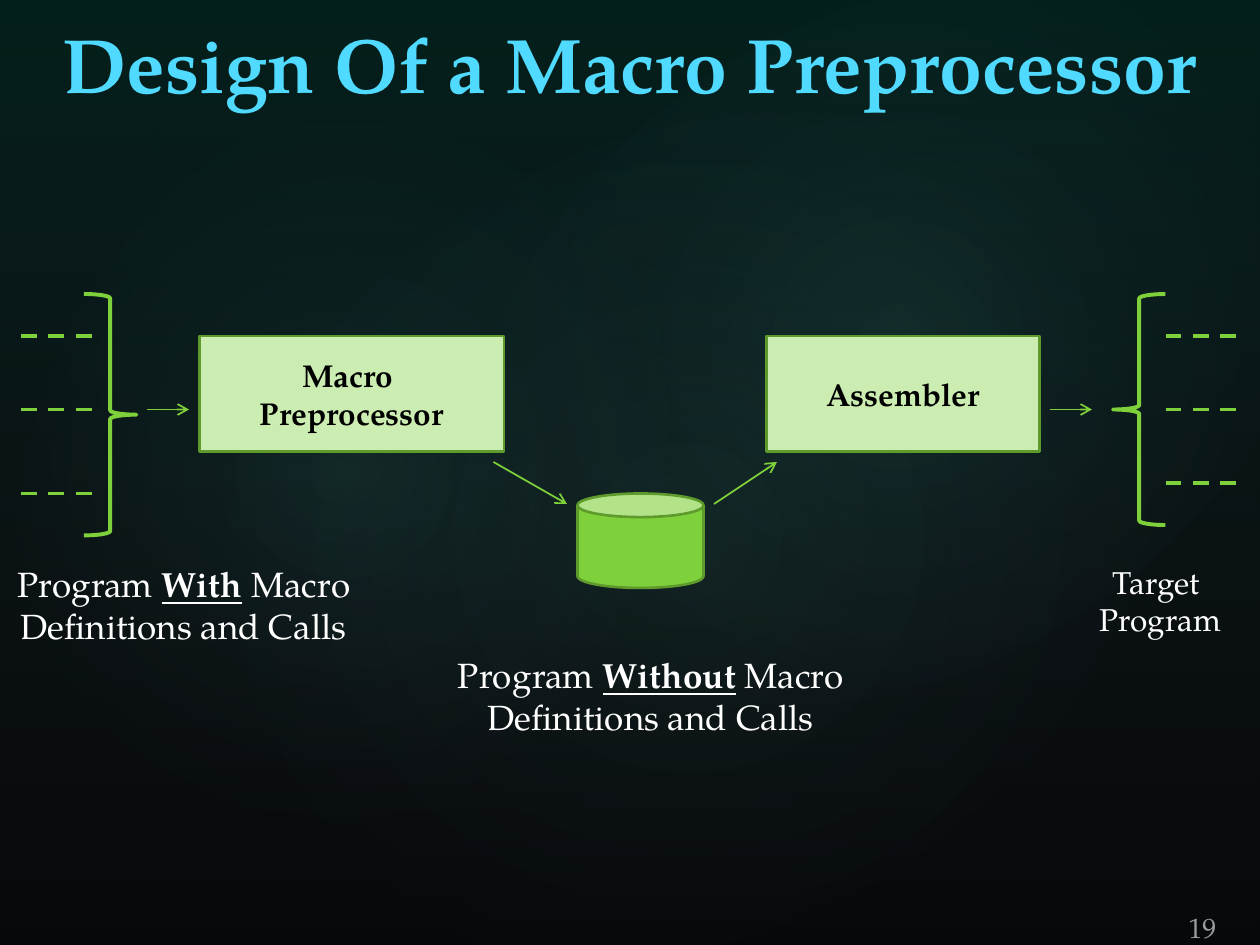
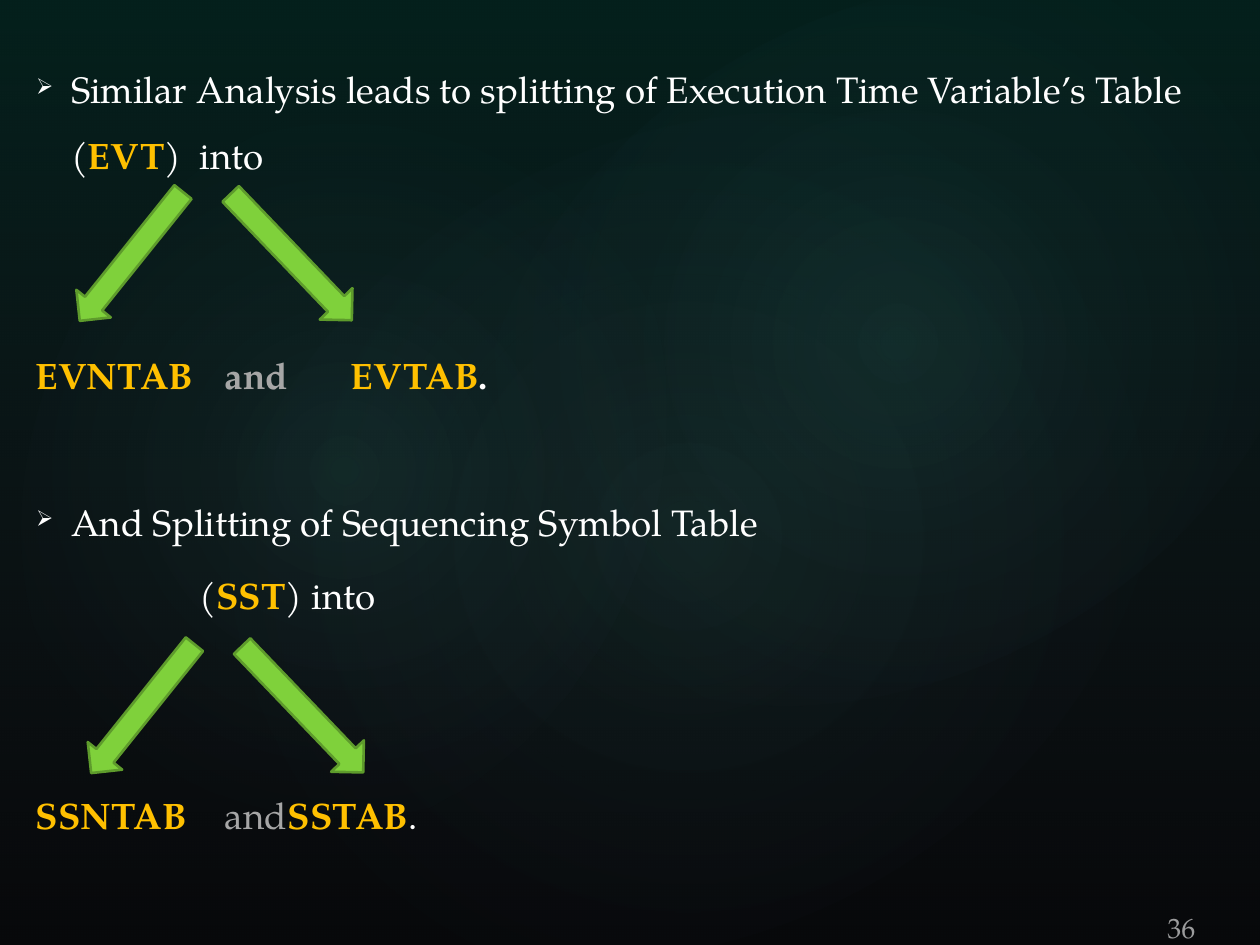
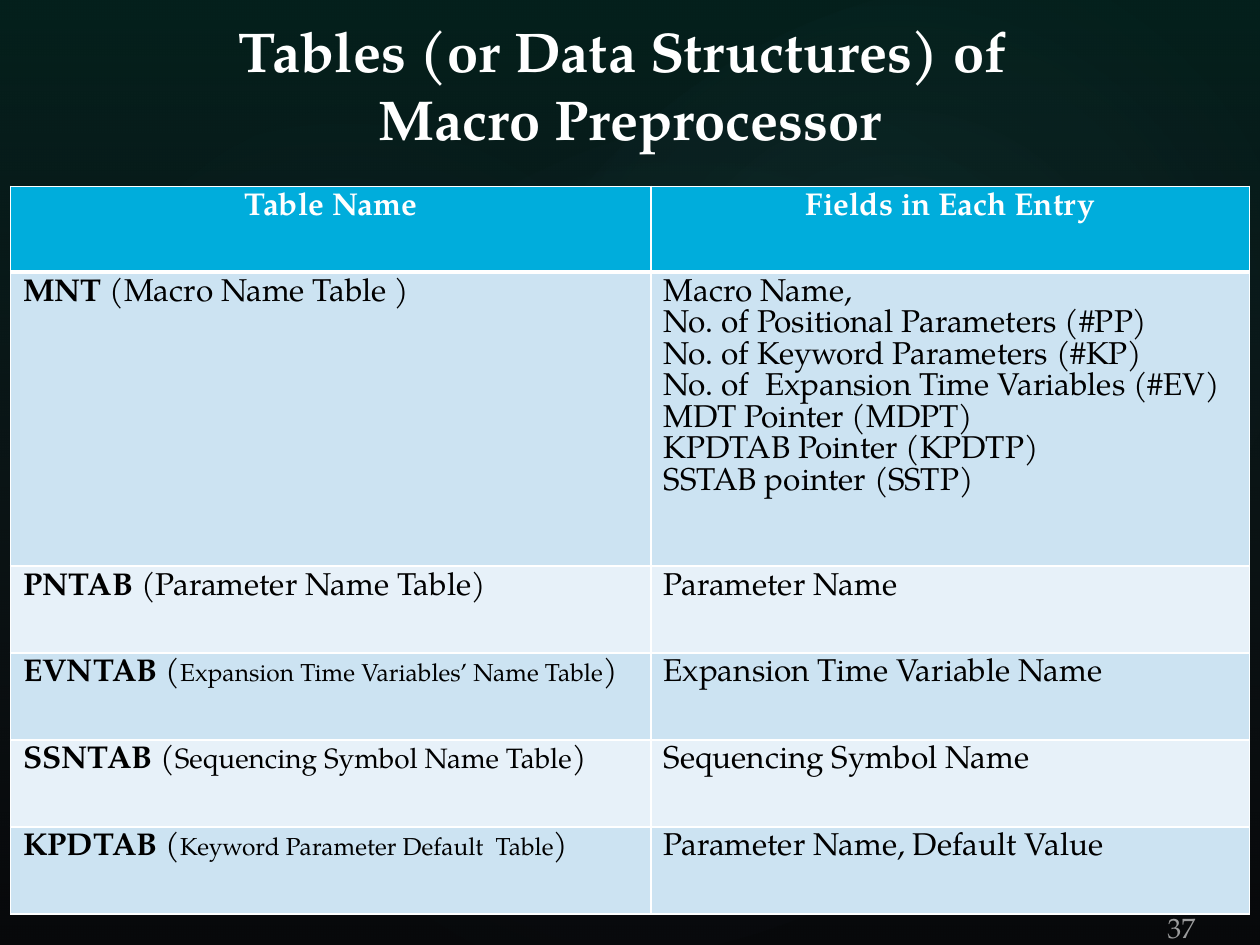
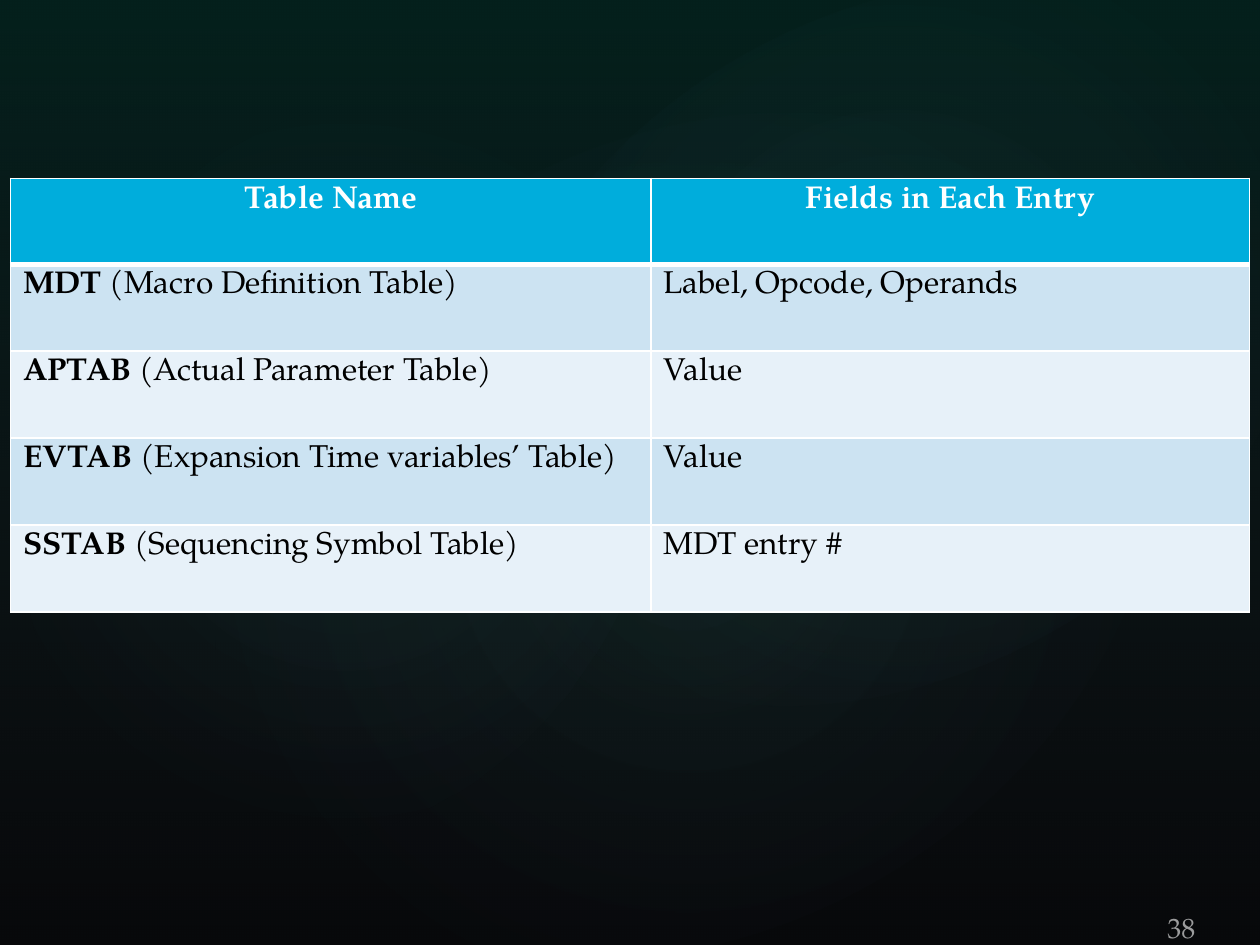
import pptx
import pptx.util
import pptx.oxml
import pptx.oxml.ns
import pptx.dml.color
import pptx.enum.dml
import pptx.enum.shapes
import pptx.enum.text
import lxml.etree

Pt = pptx.util.Pt
qn = pptx.oxml.ns.qn
KIND = pptx.enum.shapes.MSO_SHAPE
ALIGN = pptx.enum.text.PP_ALIGN
ANCHOR = pptx.enum.text.MSO_ANCHOR

# Shared look
FONT = "TeX Gyre Pagella"
WIDE, HIGH = 720, 540
WHITE, BLACK, GOLD, GREY = "FFFFFF", "000000", "FFC000", "A6A6A6"
GREEN, DARK, PALE = "7FD13B", "5E9B2C", "CCEDB1"
CYAN, HEAD, BANDS = "51DAFF", "00ADDC", ("CCE3F2", "E7F1F9")


def color(code):
    return pptx.dml.color.RGBColor.from_string(code)


# Basic parts
def shape(slide, kind, x, y, w, h, fill=None, line=None, width=1.5, turn=0):
    item = slide.shapes.add_shape(kind, Pt(x), Pt(y), Pt(w), Pt(h))
    item.shadow.inherit = False
    item.rotation = turn
    if fill:
        item.fill.solid()
        item.fill.fore_color.rgb = color(fill)
    else:
        item.fill.background()
    if line:
        item.line.color.rgb = color(line)
        item.line.width = Pt(width)
    else:
        item.line.fill.background()
    return item


def fade(item, stops, shade):
    """Fill with a gradient; stops are (place, colour, opacity) in percent."""
    marks = "".join(
        f'<a:gs pos="{place * 1000}"><a:srgbClr val="{code}">'
        f'<a:alpha val="{alpha * 1000}"/></a:srgbClr></a:gs>'
        for place, code, alpha in stops)
    grad = pptx.oxml.parse_xml(
        f'<a:gradFill {pptx.oxml.ns.nsdecls("a")} rotWithShape="1">'
        f'<a:gsLst>{marks}</a:gsLst>{shade}</a:gradFill>')
    props = item._element.spPr
    props.replace(props.find(qn("a:noFill")), grad)


def line(slide, x1, y1, x2, y2, width=1, dash=False, arrow=False):
    item = slide.shapes.add_connector(
        pptx.enum.shapes.MSO_CONNECTOR.STRAIGHT, Pt(x1), Pt(y1), Pt(x2), Pt(y2))
    item.line.color.rgb = color(GREEN)
    item.line.width = Pt(width)
    if dash:
        item.line.dash_style = pptx.enum.dml.MSO_LINE.DASH
    if arrow:
        edge = item.line._get_or_add_ln()
        lxml.etree.SubElement(edge, qn("a:tailEnd"), type="arrow")
    lxml.etree.SubElement(item._element.spPr, qn("a:effectLst"))


def add(para, runs, size, ink, bold=False):
    """Add runs: a string, or (string, changes); a newline breaks the line."""
    for part in runs:
        words, change = (part, {}) if isinstance(part, str) else part
        for i, piece in enumerate(words.split("\n")):
            if i:
                para.add_line_break()
            run = para.add_run()
            run.text = piece
            font = run.font
            font.name = FONT
            font.size = Pt(change.get("size", size))
            font.bold = change.get("bold", bold)
            font.underline = change.get("under", False)
            font.color.rgb = color(change.get("ink", ink))


def write(frame, paras, size, ink=WHITE, bold=False, align=ALIGN.CENTER, space=None):
    for i, runs in enumerate(paras):
        para = frame.add_paragraph() if i else frame.paragraphs[0]
        para.alignment = align
        if space:
            para.line_spacing = space
        add(para, runs, size, ink, bold)


def box(slide, x, y, w, h, anchor=ANCHOR.TOP):
    item = slide.shapes.add_textbox(Pt(x), Pt(y), Pt(w), Pt(h))
    item.text_frame.word_wrap = True
    item.text_frame.vertical_anchor = anchor
    return item


# Slide frame
def glow(slide):
    slide.background.fill.solid()
    slide.background.fill.fore_color.rgb = color(BLACK)
    fade(shape(slide, KIND.RECTANGLE, 0, 0, WIDE, HIGH),
         [(0, "0D5A4F", 36), (100, "4E5B6F", 10)], '<a:lin ang="5400000" scaled="0"/>')
    round_ = ('<a:path path="circle"><a:fillToRect l="50000" t="50000" '
              'r="50000" b="50000"/></a:path>')
    for x, y, w, h, turn, alpha in ((108, 82, 570, 449, 328.7, 7),
                                    (-21.6, 92, 436, 353, 294.3, 8),
                                    (258, 9.4, 510, 374, 328.7, 8)):
        fade(shape(slide, KIND.OVAL, x, y, w, h, turn=turn),
             [(0, "5FE8D6", alpha), (58, "4E5B6F", 0)], round_)


def page(deck, number, x=660):
    slide = deck.slides.add_slide(deck.slide_layouts[6])
    glow(slide)
    item = box(slide, x, 516, 168, 24, ANCHOR.BOTTOM)
    item.text_frame.margin_bottom = Pt(0.7)
    write(item.text_frame, [[str(number)]], 16, align=ALIGN.LEFT)
    for ink in item._element.iter(qn("a:srgbClr")):
        lxml.etree.SubElement(ink, qn("a:alpha"), val="60000")
    return slide


def title(slide, words, y, h, size, ink, space=None):
    frame = box(slide, 0, y, WIDE, h, ANCHOR.BOTTOM).text_frame
    write(frame, [[words]], size, ink, True, space=space)


# Flow diagram
def stage(slide, x, y, w, lines):
    item = shape(slide, KIND.RECTANGLE, x, y, w, 66, PALE, DARK)
    item.text_frame.vertical_anchor = ANCHOR.MIDDLE
    write(item.text_frame, [[words] for words in lines], 18, BLACK, True)


def code(slide, x, y, kind, brace, dash, h, last):
    """Dashed code lines beside a brace; brace and dash are offsets from x."""
    shape(slide, kind, x + brace, y, 30, h, line=GREEN, width=2.25)
    for drop in (24, 66, last):
        line(slide, x + dash, y + drop, x + dash + 42, y + drop, 2.25, dash=True)


def label(slide, x, y, w, paras, size):
    write(box(slide, x, y, w, 55).text_frame, paras, size)


def flow(slide, x, y):
    shape(slide, KIND.CAN, x + 330, y + 114, 72, 54, GREEN, DARK)
    stage(slide, x + 114, y + 24, 174, ["Macro ", "Preprocessor"])
    stage(slide, x + 438, y + 24, 156, ["Assembler"])
    code(slide, x + 12, y, KIND.RIGHT_BRACE, 36, 0, 138, 114)
    code(slide, x + 636, y, KIND.LEFT_BRACE, 0, 30, 132, 108)
    for x1, y1, x2, y2 in ((84, 66, 108, 66), (282, 96, 324, 120),
                           (408, 120, 444, 96), (600, 66, 624, 66)):
        line(slide, x + x1, y + y1, x + x2, y + y2, arrow=True)
    for left, top, w, word in ((-18, 150, 246, "With"), (228, 202, 288, "Without")):
        label(slide, x + left, y + top, w,
              [["Program ", (word, {"bold": True, "under": True}),
                " Macro Definitions and Calls"]], 20)
    label(slide, x + 576, y + 150, 174, [["Target "], ["Program"]], 18)


# Split of tables
def item(frame, runs, before=0, left=1.5, bullet=False, tabs=()):
    para = frame.paragraphs[0]
    if para.runs:
        para = frame.add_paragraph()
    para.line_spacing = 1.5
    para.space_before = Pt(before)
    props = para._p.get_or_add_pPr()
    props.set("marL", str(Pt(left)))
    props.set("indent", str(Pt(-20 if bullet else 0)))
    if bullet:
        lxml.etree.SubElement(props, qn("a:buSzPct"), val="60000")
        lxml.etree.SubElement(props, qn("a:buChar"), char="➢")
    if tabs:
        stops = lxml.etree.SubElement(props, qn("a:tabLst"))
        for spot in tabs:
            lxml.etree.SubElement(stops, qn("a:tab"), pos=str(Pt(spot)), algn="l")
    add(para, runs, 21, WHITE)


def fork(slide, x, y):
    shape(slide, KIND.DOWN_ARROW, x, y, 25.2, 94.3, GREEN, DARK, turn=38.7)
    shape(slide, KIND.DOWN_ARROW, x + 91, y - 2.5, 25.9, 100, GREEN, DARK, turn=316.2)


def split(slide, x, y, w, h):
    frame = box(slide, x, y, w, h, ANCHOR.MIDDLE).text_frame
    key = {"ink": GOLD, "bold": True}
    item(frame, ["Similar Analysis leads to splitting of Execution Time Variable’s Table (",
                 ("EVT", key), ")  into"], left=21.6, bullet=True)
    item(frame, [("EVNTAB\t", key), ("and\t", {"ink": GREY, "bold": True}),
                 ("EVTAB", key), (".", {"bold": True})], 88, tabs=(101.5, 148.5))
    item(frame, ["And Splitting of Sequencing Symbol Table"], 46, 21.6, True)
    item(frame, ["(", ("SST", key), ") into"], 4.2, 95)
    item(frame, [("SSNTAB\t", key), ("and\t", {"ink": GREY}), ("SSTAB", key), "."],
         88, tabs=(97.5, 155))
    fork(slide, x + 50.5, y + 99.4)
    fork(slide, x + 57, y + 357.8)


# Table of tables
def rim(cell, top, bottom):
    props = cell._tc.get_or_add_tcPr()
    for side, width in (("L", 1), ("R", 1), ("T", top), ("B", bottom)):
        edge = lxml.etree.SubElement(props, qn("a:ln" + side), w=str(Pt(width)))
        fill = lxml.etree.SubElement(edge, qn("a:solidFill"))
        lxml.etree.SubElement(fill, qn("a:srgbClr"), val=WHITE)


def grid(slide, x, y, rows, highs):
    """Each row: short name, long name, size of the long name, fields."""
    cols = (366, 342)
    table = slide.shapes.add_table(len(rows) + 1, 2, Pt(x), Pt(y),
                                   Pt(sum(cols)), Pt(sum(highs))).table
    table.first_row = table.horz_banding = False
    for col, w in zip(table.columns, cols):
        col.width = Pt(w)
    cells = [([["Table Name"]], [["Fields in Each Entry"]])]
    for short, name, size, fields in rows:
        cells.append(([[(short, {"bold": True}), " (", (name, {"size": size}), ")"]],
                      [[field] for field in fields]))
    for r, pair in enumerate(cells):
        table.rows[r].height = Pt(highs[r])
        for c, paras in enumerate(pair):
            cell = table.cell(r, c)
            rim(cell, 3 if r == 1 else 1, 1 if r else 3)
            cell.fill.solid()
            cell.fill.fore_color.rgb = color(BANDS[(r - 1) % 2] if r else HEAD)
            write(cell.text_frame, paras, 18, BLACK if r else WHITE, r == 0,
                  ALIGN.LEFT if r else ALIGN.CENTER, Pt(18))


STATIC = [
    ("MNT", "Macro Name Table ", 18,
     ["Macro Name,", "No. of Positional Parameters (#PP)",
      "No. of Keyword Parameters (#KP)", "No. of  Expansion Time Variables (#EV)",
      "MDT Pointer (MDPT)", "KPDTAB Pointer (KPDTP)", "SSTAB pointer (SSTP)"]),
    ("PNTAB", "Parameter Name Table", 18, ["Parameter Name"]),
    ("EVNTAB", "Expansion Time Variables’ Name Table", 14, ["Expansion Time Variable Name"]),
    ("SSNTAB", "Sequencing Symbol Name Table", 16, ["Sequencing Symbol Name"]),
    ("KPDTAB", "Keyword Parameter Default  Table", 14, ["Parameter Name, Default Value"]),
]
ACTIVE = [
    ("MDT", "Macro Definition Table", 18, ["Label, Opcode, Operands"]),
    ("APTAB", "Actual Parameter Table", 18, ["Value"]),
    ("EVTAB", "Expansion Time variables’ Table", 18, ["Value"]),
    ("SSTAB", "Sequencing Symbol Table", 18, ["MDT entry #"]),
]


def main():
    deck = pptx.Presentation()
    deck.slide_width, deck.slide_height = Pt(WIDE), Pt(HIGH)

    slide = page(deck, 19, 672)
    title(slide, "Design Of a Macro Preprocessor", 0, 66, 44, CYAN, 1.5)
    flow(slide, 0, 168)

    split(page(deck, 36), 12, 0, 684, 504)

    slide = page(deck, 37)
    grid(slide, 6, 106.5, STATIC, [49, 168] + [49.7] * 4)
    title(slide, "Tables (or Data Structures) of \nMacro Preprocessor", 18, 72, 32, WHITE)

    grid(page(deck, 38), 6, 102, ACTIVE, [49] + [49.7] * 4)
    deck.save("out.pptx")


if __name__ == "__main__":
    main()
